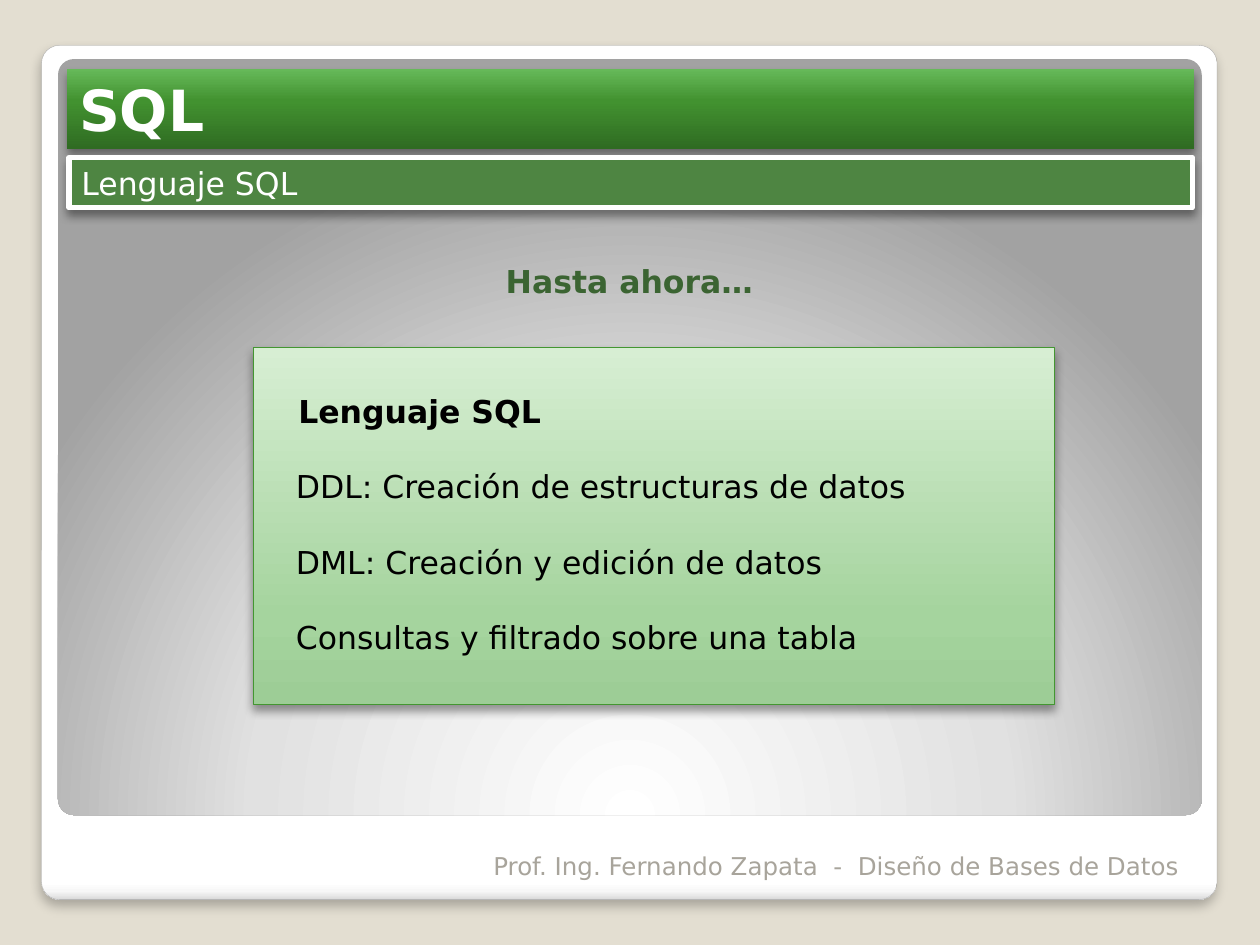
from collections import namedtuple

from lxml.etree import SubElement
from pptx import Presentation
from pptx.dml.color import RGBColor
from pptx.enum.shapes import MSO_SHAPE
from pptx.enum.text import MSO_ANCHOR, PP_ALIGN
from pptx.oxml.ns import qn
from pptx.util import Inches, Pt

SLIDE_W, SLIDE_H = 10, 7.5
FONT = "DejaVu Sans"
WHITE, BLACK = "FFFFFF", "000000"

Box = namedtuple("Box", "x y w h")


def part(box, x, y, w, h):
    """Return the box that covers the given shares of another box."""
    return Box(box.x + x * box.w, box.y + y * box.h, w * box.w, h * box.h)


def emu(box):
    return [Inches(v) for v in box]


def rgb(value):
    return RGBColor.from_string(value)


def set_gradient(sp, stops, angle=None, focus=None):
    """Fill with stops in percent, along an angle or around a focus (l, t, r, b)."""
    sp.fill.gradient()
    grad = sp._element.spPr.find(qn("a:gradFill"))
    for child in list(grad):
        grad.remove(child)
    gs_list = SubElement(grad, qn("a:gsLst"))
    for pos, color in stops:
        gs = SubElement(gs_list, qn("a:gs"), pos=str(pos * 1000))
        SubElement(gs, qn("a:srgbClr"), val=color)
    if focus:
        way = SubElement(grad, qn("a:path"))
        way.set("path", "circle")
        edges = {side: str(v * 1000) for side, v in zip("ltrb", focus)}
        SubElement(way, qn("a:fillToRect"), **edges)
    else:
        SubElement(grad, qn("a:lin"), ang=str(angle * 60000), scaled="0")


def set_shadow(sp, alpha=40, blur=5.2, dist=3):
    effects = sp._element.spPr.find(qn("a:effectLst"))
    shadow = SubElement(effects, qn("a:outerShdw"), blurRad=str(Pt(blur)),
                        dist=str(Pt(dist)), dir="5400000", algn="ctr",
                        rotWithShape="0")
    color = SubElement(shadow, qn("a:srgbClr"), val=BLACK)
    SubElement(color, qn("a:alpha"), val=str(alpha * 1000))


def add_panel(s, box, fill=None, line=None, width=0.75, radius=None):
    kind = MSO_SHAPE.RECTANGLE if radius is None else MSO_SHAPE.ROUNDED_RECTANGLE
    sp = s.shapes.add_shape(kind, *emu(box))
    if radius is not None:
        sp.adjustments[0] = radius
    sp.shadow.inherit = False
    if fill:
        sp.fill.solid()
        sp.fill.fore_color.rgb = rgb(fill)
    if line:
        sp.line.color.rgb = rgb(line)
        sp.line.width = Pt(width)
    else:
        sp.line.fill.background()
    return sp


def write(sp, text, size=18, color=BLACK, bold=False, align=PP_ALIGN.LEFT,
          anchor=MSO_ANCHOR.TOP, spacing=None, indent=0, first=True):
    """Write one paragraph into a shape, after the others unless it is the first."""
    tf = sp.text_frame
    tf.word_wrap = True
    tf.vertical_anchor = anchor
    p = tf.paragraphs[0] if first else tf.add_paragraph()
    p.alignment = align
    if spacing:
        p.line_spacing = spacing
    if indent:
        p._p.get_or_add_pPr().set("marL", str(Inches(indent)))
    r = p.add_run()
    r.text = text
    r.font.name, r.font.size, r.font.bold = FONT, Pt(size), bold
    r.font.color.rgb = rgb(color)


def add_frame(s, box):
    card = add_panel(s, box, line="A4A4A4", width=0.16, radius=0.021)
    set_gradient(card, [(0, WHITE), (98, WHITE), (99, "F7F7F7"),
                        (100, "DADADA")], angle=90)
    set_shadow(card, alpha=25, blur=6, dist=4)
    stage = add_panel(s, part(box, 0.014, 0.016, 0.973, 0.885), radius=0.021)
    set_gradient(stage, [(0, WHITE), (55, "E1E1E1"), (100, "A2A2A2")],
                 focus=(50, 175, 50, -75))


def add_header(s, box, title, subtitle):
    bar = add_panel(s, part(box, 0, 0, 1, 0.573))
    set_gradient(bar, [(0, "2F6B22"), (60, "429230"), (100, "66B959")], angle=270)
    set_shadow(bar)
    write(bar, title, size=32.4, color=WHITE, bold=True, anchor=MSO_ANCHOR.BOTTOM)
    strip = add_panel(s, part(box, 0.002, 0.636, 0.996, 0.364),
                      fill="4E8542", line=WHITE, width=3)
    set_shadow(strip)
    write(strip, subtitle, color=WHITE)


def add_label(s, box, text, right_inset=0.1, **style):
    sp = s.shapes.add_textbox(*emu(box))
    sp.text_frame.margin_right = Inches(right_inset)
    write(sp, text, **style)


def add_summary(s, box, heading, items):
    sp = add_panel(s, box, line="439631")
    set_gradient(sp, [(0, "9DCD96"), (25, "A5D49E"), (100, "D7EED3")], angle=270)
    set_shadow(sp)
    write(sp, heading, bold=True, spacing=2.0, indent=0.26)
    for item in items:
        write(sp, item, spacing=2.0, indent=0.24, first=False)


def main():
    prs = Presentation()
    prs.slide_width, prs.slide_height = Inches(SLIDE_W), Inches(SLIDE_H)
    s = prs.slides.add_slide(prs.slide_layouts[6])
    s.background.fill.solid()
    s.background.fill.fore_color.rgb = rgb("E3DED1")

    add_frame(s, Box(0.33, 0.36, 9.33, 6.78))
    add_header(s, Box(0.53, 0.55, 8.95, 1.1), "SQL", "Lenguaje SQL")
    add_label(s, Box(3.75, 6.64, 5.78, 0.4),
              "Prof. Ing. Fernando Zapata  -  Diseño de Bases de Datos",
              right_inset=0.17, size=14, color="A8A49B",
              align=PP_ALIGN.RIGHT, anchor=MSO_ANCHOR.BOTTOM)
    add_label(s, Box(0.62, 2.03, 8.75, 0.4), "Hasta ahora…",
              color="3B6432", bold=True, align=PP_ALIGN.CENTER)
    add_summary(s, Box(2.01, 2.76, 6.36, 2.83), "Lenguaje SQL",
                ["DDL: Creación de estructuras de datos",
                 "DML: Creación y edición de datos",
                 "Consultas y filtrado sobre una tabla"])
    prs.save("out.pptx")


if __name__ == "__main__":
    main()
